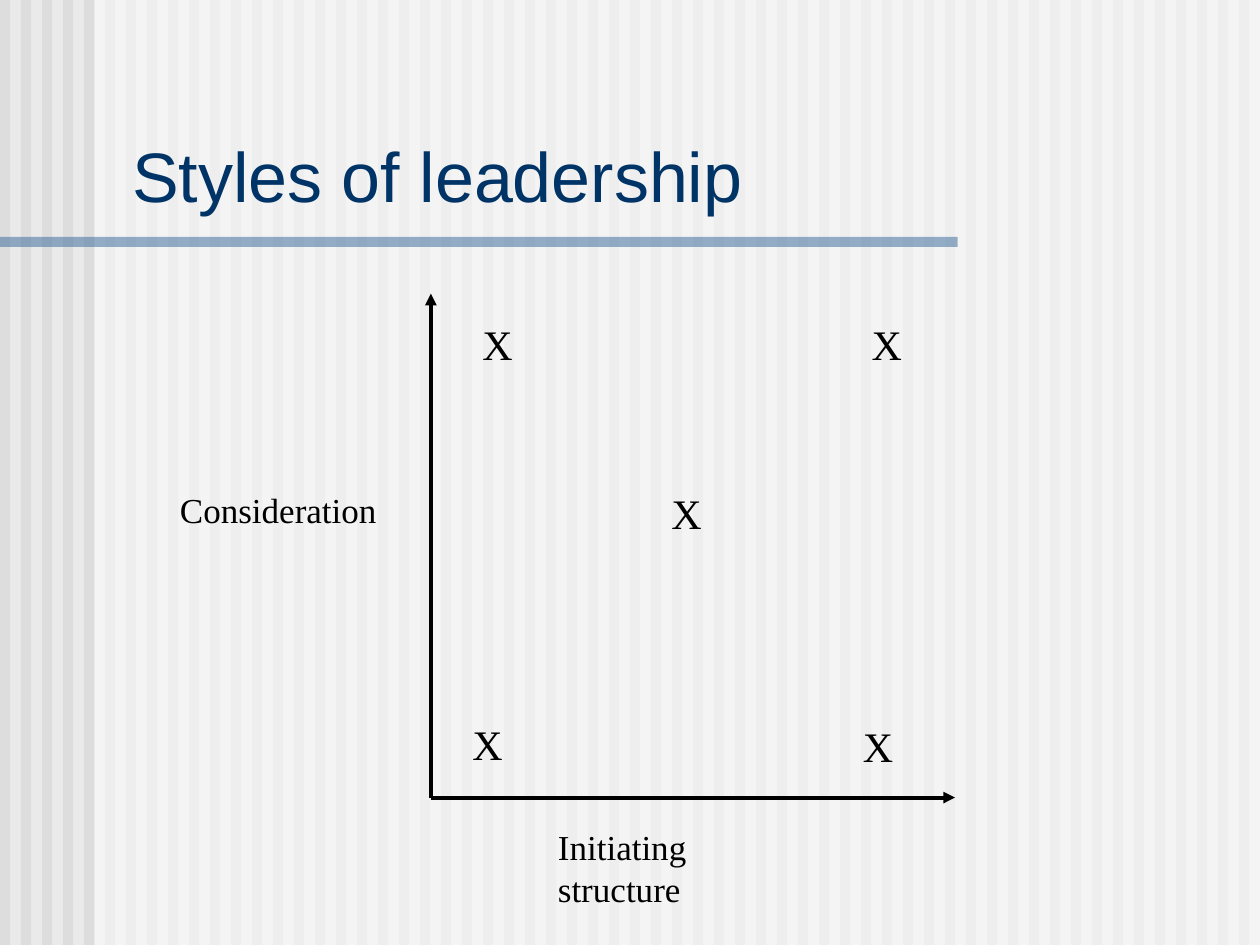
from pptx import Presentation
from pptx.dml.color import RGBColor
from pptx.enum.shapes import MSO_CONNECTOR, MSO_SHAPE
from pptx.enum.text import MSO_ANCHOR, MSO_AUTO_SIZE
from pptx.oxml.ns import qn
from pptx.util import Inches, Pt
from lxml import etree

BACKGROUND = RGBColor(0xEA, 0xEA, 0xEA)
STRIPE = RGBColor(0xDD, 0xDD, 0xDD)
WHITE = RGBColor(0xFF, 0xFF, 0xFF)
RULE_BLUE = RGBColor(0x33, 0x66, 0x99)
TITLE_BLUE = RGBColor(0x00, 0x33, 0x66)
BLACK = RGBColor(0x00, 0x00, 0x00)

deck = Presentation()
deck.slide_width = Inches(10)
deck.slide_height = Inches(7.5)
page = deck.slides.add_slide(deck.slide_layouts[6])
page.background.fill.solid()
page.background.fill.fore_color.rgb = BACKGROUND


def add_band(left, top, width, height, color, opacity=100):
    band = page.shapes.add_shape(
        MSO_SHAPE.RECTANGLE, Inches(left), Inches(top), Inches(width), Inches(height)
    )
    band.shadow.inherit = False
    band.fill.solid()
    band.fill.fore_color.rgb = color
    band.line.fill.background()
    if opacity < 100:
        tint = band.fill._xPr.find(qn("a:solidFill"))[0]
        etree.SubElement(tint, qn("a:alpha"), val=str(opacity * 1000))


def add_text(text, left, top, width, height, size, font, color):
    box = page.shapes.add_textbox(
        Inches(left), Inches(top), Inches(width), Inches(height)
    )
    frame = box.text_frame
    frame.text = text
    span = frame.paragraphs[0].runs[0]
    span.font.size = Pt(size)
    span.font.name = font
    span.font.color.rgb = color
    return frame


for index in range(60):
    add_band(index / 6, 0, 0.08, 7.5, STRIPE)
add_band(0.75, 0, 9.25, 7.5, WHITE, 50)
add_band(0, 1.88, 7.6, 0.08, RULE_BLUE, 50)

for end_x, end_y in [(3.42, 2.33), (7.58, 6.33)]:
    axis = page.shapes.add_connector(
        MSO_CONNECTOR.STRAIGHT, Inches(3.42), Inches(6.33), Inches(end_x), Inches(end_y)
    )
    axis.line.color.rgb = BLACK
    axis.line.width = Pt(2.25)
    etree.SubElement(axis.line._get_or_add_ln(), qn("a:tailEnd"), type="triangle")
    etree.SubElement(axis._element.spPr, qn("a:effectLst"))

title = add_text("Styles of leadership", 0.95, 0.58, 8.93, 1.19, 40, "Arial", TITLE_BLUE)
title.word_wrap = True
title.vertical_anchor = MSO_ANCHOR.BOTTOM

labels = [
    ("Initiating structure", 4.33, 6.5, 2.26, 0.44, 20),
    ("Consideration", 1.33, 3.83, 1.76, 0.44, 20),
]
marks = [(3.65, 5.65), (6.75, 5.67), (6.82, 2.48), (3.73, 2.48), (5.23, 3.82)]
labels += [("X", left, top, 0.44, 0.5, 24) for left, top in marks]
for label in labels:
    frame = add_text(*label, "Times New Roman", BLACK)
    frame.word_wrap = False
    frame.auto_size = MSO_AUTO_SIZE.SHAPE_TO_FIT_TEXT

deck.save("out.pptx")
